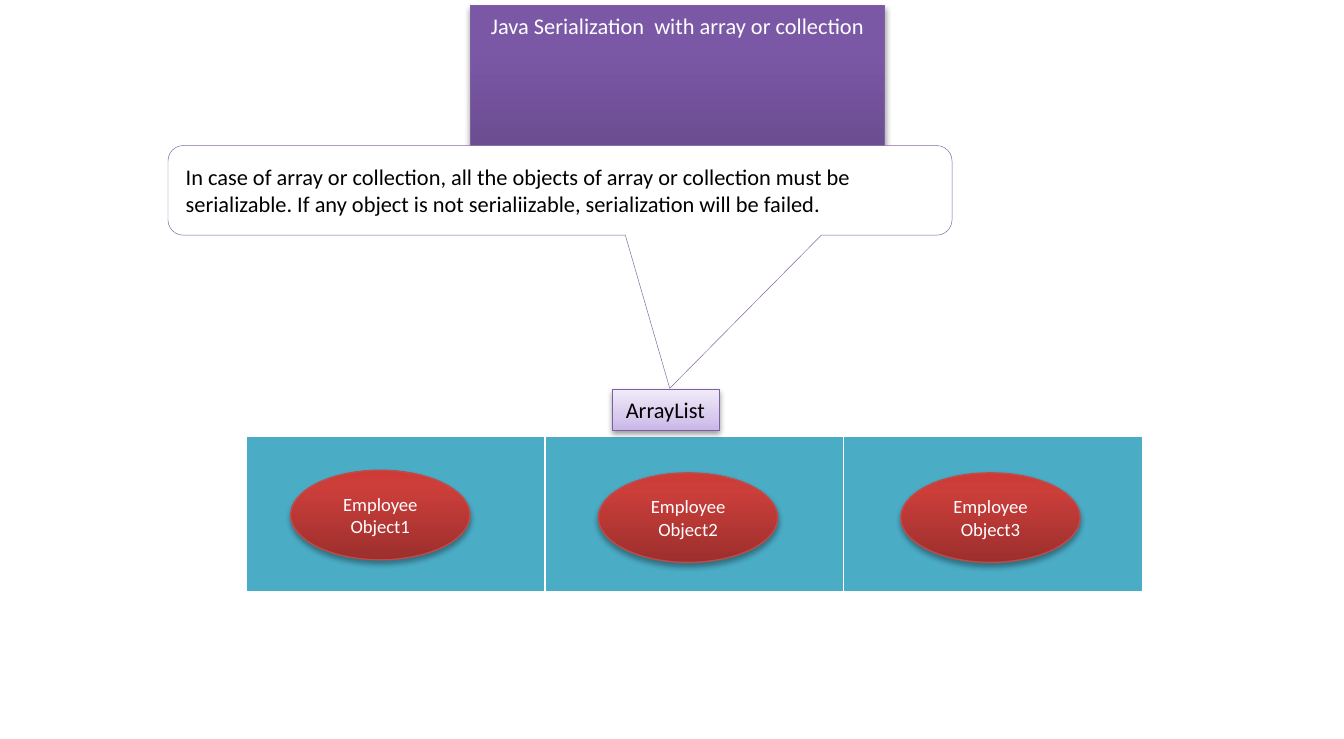
import copy

import pptx
import pptx.dml.color
import pptx.enum.shapes
import pptx.enum.text
import pptx.oxml
import pptx.oxml.ns
import pptx.util

Pt = pptx.util.Pt
SHAPE = pptx.enum.shapes.MSO_SHAPE
ALIGN = pptx.enum.text.PP_ALIGN
ANCHOR = pptx.enum.text.MSO_ANCHOR
FIT = pptx.enum.text.MSO_AUTO_SIZE
NS = pptx.oxml.ns.nsdecls("a")

PURPLE = [(0, "5F4480"), (80, "7B58A6"), (100, "7C57A8")]
LILAC = [(0, "C9B5E8"), (35, "D8CBEE"), (100, "F0EAF9")]
RED = [(0, "9C2F2D"), (80, "CB3E3A"), (100, "CE3B37")]


def color(code):
    return pptx.dml.color.RGBColor.from_string(code)


def place(shape, box):
    shape.left, shape.top, shape.width, shape.height = [Pt(v) for v in box]


def outline(shape, code, width):
    shape.line.color.rgb = color(code)
    shape.line.width = Pt(width)


def shade(shape, stops, edge, alpha=35, dist=1.8):
    """Give a vertical gradient, a thin edge and a soft shadow below."""
    fill = shape.fill
    fill.gradient()
    fill.gradient_angle = 90
    root = shape._element.spPr.find(".//" + pptx.oxml.ns.qn("a:gsLst"))
    root.append(copy.deepcopy(root[-1]))
    for stop, (pos, code) in zip(fill.gradient_stops, stops):
        stop.position = pos / 100
        stop.color.rgb = color(code)
    outline(shape, edge, 0.75)
    for old in shape._element.spPr.findall(pptx.oxml.ns.qn("a:effectLst")):
        shape._element.spPr.remove(old)
    shape._element.spPr.append(pptx.oxml.parse_xml(
        f'<a:effectLst {NS}><a:outerShdw blurRad="{Pt(3.1)}" dist="{Pt(dist)}" '
        f'dir="5400000" rotWithShape="0"><a:srgbClr val="000000">'
        f'<a:alpha val="{alpha * 1000}"/></a:srgbClr></a:outerShdw></a:effectLst>'))


def write(shape, text, size, code, align=ALIGN.LEFT, anchor=ANCHOR.MIDDLE,
          wrap=True, fit=FIT.NONE):
    frame = shape.text_frame
    frame.auto_size = fit
    frame.word_wrap = wrap
    frame.vertical_anchor = anchor
    para = frame.paragraphs[0]
    para.alignment = align
    run = para.add_run()
    run.text = text
    run.font.name = "Calibri"
    run.font.size = Pt(size)
    run.font.color.rgb = color(code)


def add_title(slide, box):
    title = slide.shapes.title
    place(title, box)
    shade(title, PURPLE, "7D60A0")
    write(title, "Java Serialization  with array or collection", 12, "FFFFFF",
          ALIGN.CENTER, ANCHOR.TOP, fit=FIT.SHAPE_TO_FIT_TEXT)


def add_shape(slide, kind, box):
    shape = slide.shapes.add_shape(kind, *[Pt(v) for v in box])
    shape.shadow.inherit = False
    return shape


def add_cells(slide, box):
    """Draw the array as a one-row table with white rules."""
    table = slide.shapes.add_table(1, 3, *[Pt(v) for v in box]).table
    table.first_row = table.horz_banding = False
    for cell in table.rows[0].cells:
        cell.fill.solid()
        cell.fill.fore_color.rgb = color("4BACC6")
        props = cell._tc.get_or_add_tcPr()
        for i, (side, width) in enumerate(zip("LRTB", (1, 1, 1, 3))):
            props.insert(i, pptx.oxml.parse_xml(
                f'<a:ln{side} {NS} w="{Pt(width)}"><a:solidFill>'
                f'<a:srgbClr val="FFFFFF"/></a:solidFill></a:ln{side}>'))


def add_array(slide, box):
    left, top, width, height = box
    add_cells(slide, box)
    spots = [(23.7, 18), (188.6, 19.4), (350.6, 19.4)]
    for num, (x, y) in enumerate(spots, 1):
        oval = add_shape(slide, SHAPE.OVAL, (left + x, top + y, 96, 48))
        shade(oval, RED, "BF4C48")
        write(oval, f"Employee Object{num}", 10, "FFFFFF", ALIGN.CENTER)
    tag = add_shape(slide, SHAPE.RECTANGLE, (left + 196.2, top - 25.2, 57.2, 21.8))
    shade(tag, LILAC, "7D60A0", 38, 1.6)
    write(tag, "ArrayList", 12, "000000", anchor=ANCHOR.TOP, wrap=False,
          fit=FIT.SHAPE_TO_FIT_TEXT)


def add_note(slide, box):
    note = add_shape(slide, SHAPE.ROUNDED_RECTANGULAR_CALLOUT, box)
    for i, value in enumerate((0.14, 2.21, 0.17)):
        note.adjustments[i] = value
    note.fill.solid()
    note.fill.fore_color.rgb = color("FFFFFF")
    outline(note, "8064A2", 0.25)
    write(note, "In case of array or collection, all the objects of array or "
          "collection must be serializable. If any object is not "
          "serialiizable, serialization will be failed.", 12, "000000")


def main():
    deck = pptx.Presentation()
    deck.slide_width, deck.slide_height = Pt(720), Pt(396)
    slide = deck.slides.add_slide(deck.slide_layouts[5])
    add_title(slide, (252, 3, 222, 21.8))
    add_array(slide, (132, 234, 480, 84))
    add_note(slide, (90, 78, 420, 48))
    deck.save("out.pptx")


if __name__ == "__main__":
    main()
